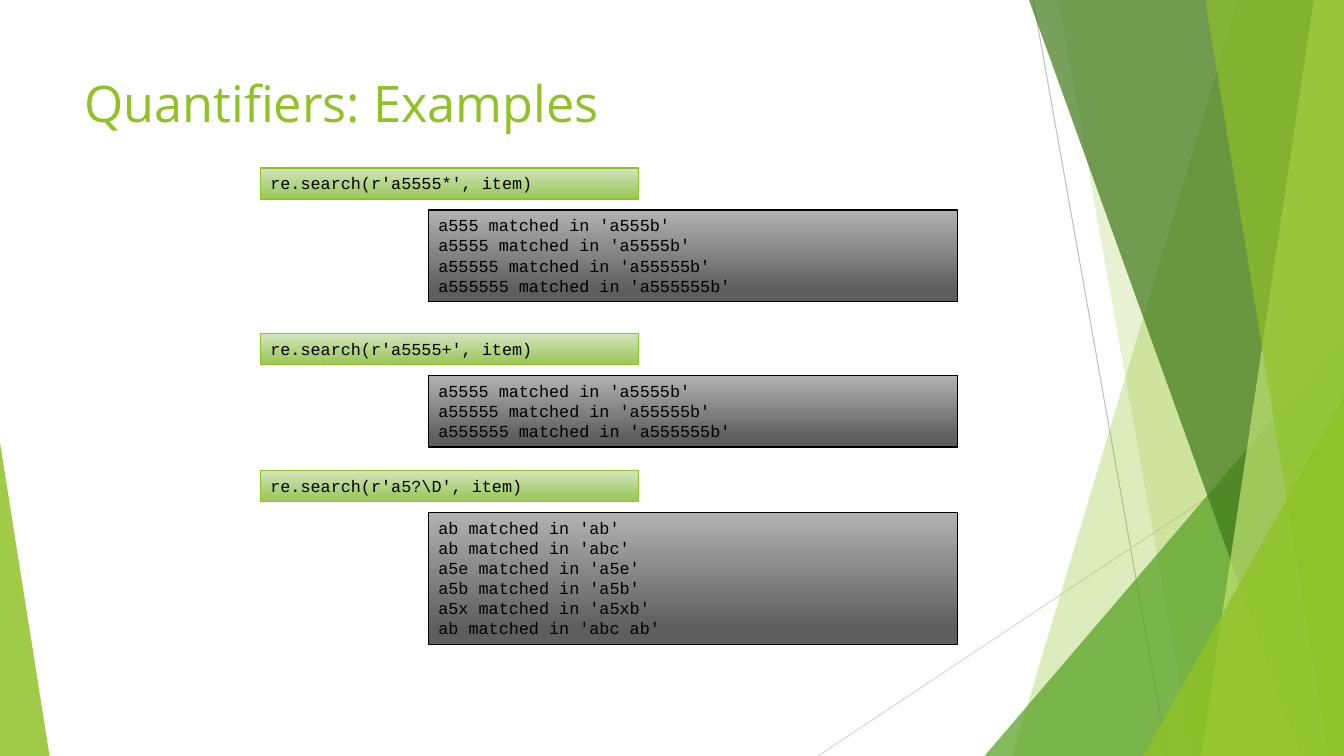
from dataclasses import dataclass

from lxml import etree
from pptx import Presentation
from pptx import util as u
from pptx.dml.color import RGBColor
from pptx.enum import shapes, text
from pptx.oxml import ns


@dataclass(frozen=True)
class Theme:
    lime: str = "90C226"
    green: str = "54A021"
    forest: str = "3F7819"
    pale: str = "C0E474"
    ink: str = "000000"
    rays: tuple = ("BFBFBF", "D9D9D9")
    code_fill: tuple = ("D3E5BE", "A0C962")
    output_fill: tuple = ("B2B2B2", "5E5E5E")
    title_font: str = "Open Sans"
    code_font: str = "Courier New"
    title_size: int = 36
    code_size: int = 12


COLS, ROWS = 160, 90


class Page:
    """Slide on a grid of 160 columns by 90 rows."""

    def __init__(self, deck, theme):
        self.theme = theme
        self.cell = deck.slide_width / COLS
        self.shapes = deck.slides.add_slide(deck.slide_layouts[6]).shapes

    def grid(self, *lengths):
        return [u.Emu(round(n * self.cell)) for n in lengths]

    def ray(self, start, end, color):
        line = self.shapes.add_connector(
            shapes.MSO_CONNECTOR.STRAIGHT, *self.grid(*start, *end))
        line.line.color.rgb = RGBColor.from_string(color)
        line.line.width = u.Pt(0.75)
        etree.SubElement(line._element.spPr, ns.qn("a:effectLst"))

    def tint(self, shape, color, opacity):
        shape.shadow.inherit = False
        shape.line.fill.background()
        shape.fill.solid()
        shape.fill.fore_color.rgb = RGBColor.from_string(color)
        rgb = shape._element.spPr.find(".//" + ns.qn("a:srgbClr"))
        etree.SubElement(rgb, ns.qn("a:alpha"), val=str(opacity * 1000))

    def shard(self, top_left, bottom_left, color, opacity):
        """Panel with a slanted left side that runs to the right edge."""
        outline = self.shapes.build_freeform(*self.grid(top_left, 0))
        outline.add_line_segments([
            self.grid(*point) for point in
            ((COLS, 0), (COLS, ROWS), (bottom_left, ROWS))])
        self.tint(outline.convert_to_shape(), color, opacity)

    def corner(self, left, top, width, apex, color, opacity):
        """Triangle that stands on the bottom edge."""
        triangle = self.shapes.add_shape(
            shapes.MSO_SHAPE.ISOSCELES_TRIANGLE,
            *self.grid(left, top, width, ROWS - top))
        triangle.adjustments[0] = apex
        self.tint(triangle, color, opacity)

    def set_lines(self, frame, lines, font, size, color):
        frame.word_wrap = True
        frame.vertical_anchor = text.MSO_ANCHOR.TOP
        frame.text = "\n".join(lines)
        for paragraph in frame.paragraphs:
            paragraph.alignment = text.PP_ALIGN.LEFT
            paragraph.font.name = font
            paragraph.font.size = u.Pt(size)
            paragraph.font.color.rgb = RGBColor.from_string(color)

    def title(self, words, left, top, width, height):
        box = self.shapes.add_textbox(*self.grid(left, top, width, height))
        self.set_lines(box.text_frame, [words], self.theme.title_font,
                       self.theme.title_size, self.theme.lime)

    def listing(self, lines, left, top, width, gradient, border):
        """Code box whose height follows its number of lines."""
        height = 1.3 + 2.4 * len(lines)
        box = self.shapes.add_shape(
            shapes.MSO_SHAPE.RECTANGLE, *self.grid(left, top, width, height))
        box.shadow.inherit = False
        box.fill.gradient()
        box.fill.gradient_angle = 270
        for stop, place, color in zip(box.fill.gradient_stops, (0, 0.88), gradient):
            stop.position = place
            stop.color.rgb = RGBColor.from_string(color)
        box.line.color.rgb = RGBColor.from_string(border)
        box.line.width = u.Pt(1)
        self.set_lines(box.text_frame, lines, self.theme.code_font,
                       self.theme.code_size, self.theme.ink)
        box.text_frame.auto_size = text.MSO_AUTO_SIZE.SHAPE_TO_FIT_TEXT


deck = Presentation()
deck.slide_width, deck.slide_height = u.Inches(13.333), u.Inches(7.5)
theme = Theme()
page = Page(deck, theme)

# Backdrop: thin rays, then overlapping translucent facets
page.ray((123, 0), (139, ROWS), theme.rays[0])
page.ray((COLS, 48.4), (97.4, ROWS), theme.rays[1])
page.shard(147.4, 120.5, theme.lime, 30)
page.shard(126, 142, theme.lime, 20)
page.corner(117.2, 40, 42.8, 1, theme.green, 72)
page.shard(122.5, 154.9, theme.forest, 70)
page.shard(156.4, 143, theme.pale, 70)
page.shard(143.5, 158.2, theme.lime, 65)
page.corner(136.1, 47.2, 23.9, 1, theme.lime, 80)
page.corner(0, 52.7, 5.9, 0, theme.lime, 85)

# Title
page.title("Quantifiers: Examples", 8.9, 8, 112.8, 17.3)

# Examples: top row, pattern, (match, item) pairs
examples = [
    (20, "a5555*", [("a555", "a555b"), ("a5555", "a5555b"),
                    ("a55555", "a55555b"), ("a555555", "a555555b")]),
    (39.7, "a5555+", [("a5555", "a5555b"), ("a55555", "a55555b"),
                      ("a555555", "a555555b")]),
    (56, r"a5?\D", [("ab", "ab"), ("ab", "abc"), ("a5e", "a5e"),
                    ("a5b", "a5b"), ("a5x", "a5xb"), ("ab", "abc ab")]),
]
for top, pattern, matches in examples:
    page.listing([f"re.search(r'{pattern}', item)"],
                 31, top, 45, theme.code_fill, theme.lime)
    page.listing([f"{match} matched in '{item}'" for match, item in matches],
                 51, top + 5, 63, theme.output_fill, theme.ink)

deck.save("out.pptx")
